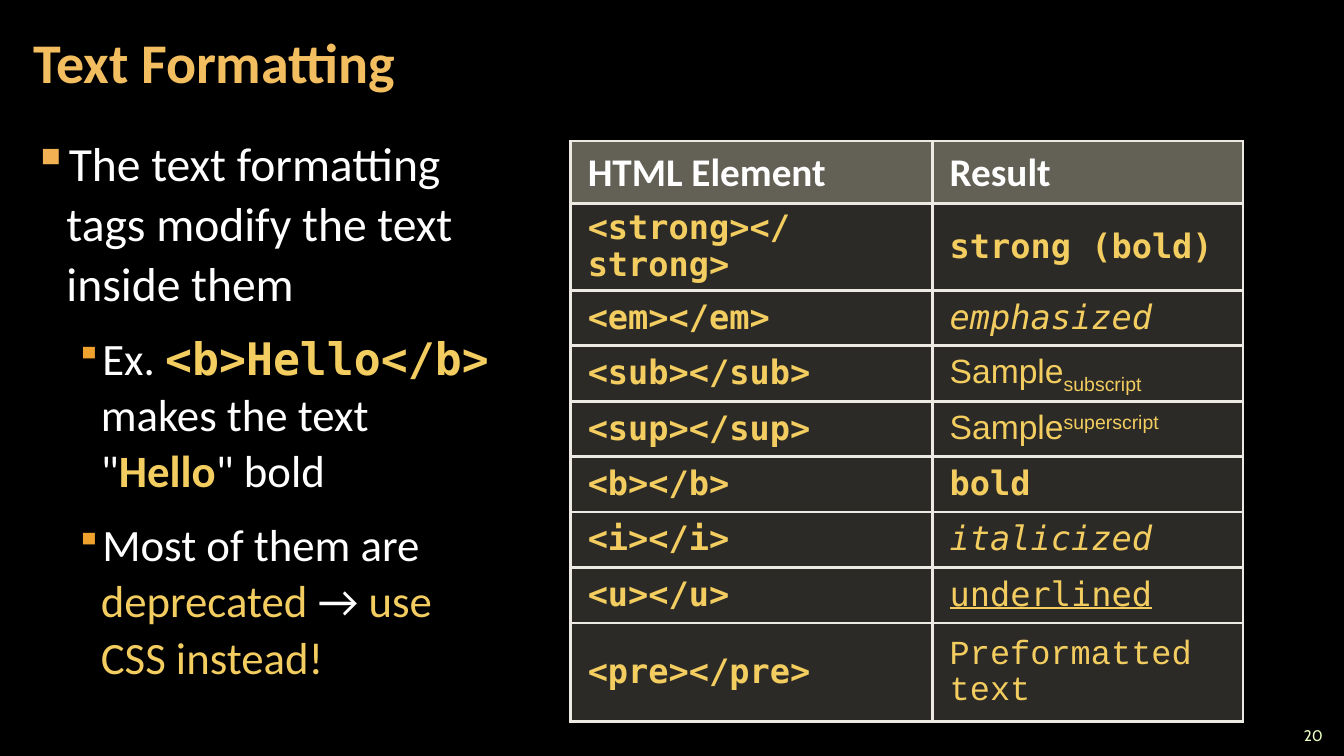
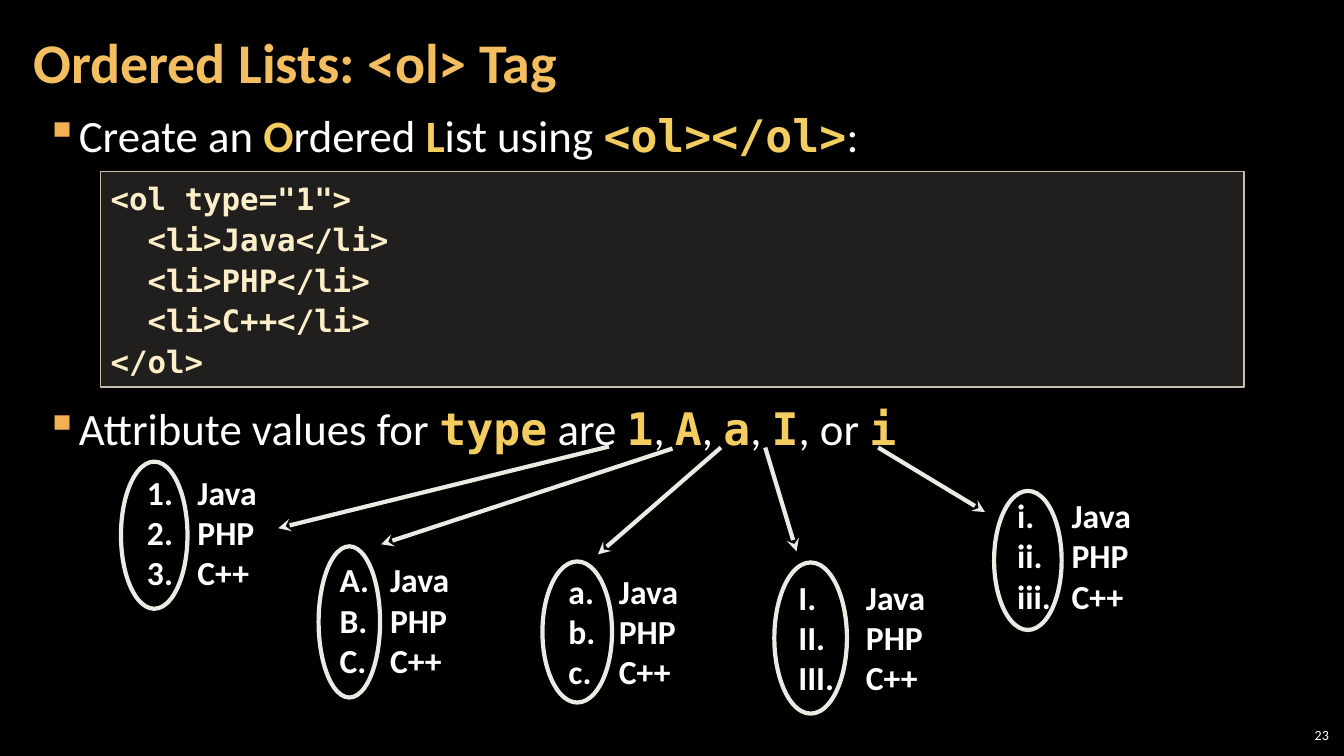
from dataclasses import dataclass
from typing import Any, NamedTuple

from lxml.etree import SubElement as Sub
from pptx import Presentation
from pptx.dml.color import RGBColor as RGB
from pptx.enum.shapes import MSO_CONNECTOR as Conn, MSO_SHAPE as Shape
from pptx.enum.text import MSO_ANCHOR as Anchor, PP_ALIGN as Align
from pptx.oxml.ns import qn
from pptx.util import Emu, Pt

EMU_PER_PX = 9144


@dataclass(frozen=True)
class Theme:
    back: str = "000000"
    white: str = "FFFFFF"
    title: str = "F3BE60"
    accent: str = "F3CD60"
    bullets: tuple = ("F2B254", "F0A22E")
    header_fill: str = "C6C0AA"
    fill: str = "D9D5C7"
    code_line: str = "C7BFAC"
    code_text: str = "FBEEC9"
    line: str = "ECEAE3"
    number: str = "EBFFC2"
    sans: str = "Calibri"
    mono: str = "DejaVu Sans Mono"
    title_size: int = 40
    lead_size: int = 34
    body_size: int = 32
    header_size: int = 28
    cell_size: int = 24
    code_size: int = 22


T = Theme()


class Span(NamedTuple):
    text: str
    fmt: dict[str, Any]


class Box(NamedTuple):
    x: int
    y: int
    w: int
    h: int


@dataclass(frozen=True)
class Bullet:
    spans: list[Span]
    level: int = 0
    size: int = T.body_size


@dataclass(frozen=True)
class ListSample:
    numbering: str
    x: int
    y: int
    indent: int
    oval: Box
    arrow: tuple[int, int, int, int]


def px(n: int) -> Emu:
    return Emu(n * EMU_PER_PX)


def plain(text: str) -> Span:
    return Span(text, {})


def hot(text: str, **fmt: Any) -> Span:
    return Span(text, {"color": T.accent, **fmt})


def code(text: str, **fmt: Any) -> Span:
    return hot(text, **{"font": T.mono, "bold": True, **fmt})


def add_run(p, text: str, *, size: int, font: str = T.sans, color: str = T.white, bold: bool = False,
            italic: bool = False, underline: bool = False, baseline: int = 0) -> None:
    r = p.add_run()
    r.text = text
    f = r.font
    f.name, f.size, f.bold, f.italic, f.underline = font, Pt(size), bold, italic, underline
    f.color.rgb = RGB.from_string(color)
    if baseline:
        r._r.get_or_add_rPr().set("baseline", str(baseline * 1000))


def next_paragraph(tf, first: bool):
    return tf.paragraphs[0] if first else tf.add_paragraph()


def set_insets(tf, x: int, y: int) -> None:
    tf.margin_left = tf.margin_right = px(x)
    tf.margin_top = tf.margin_bottom = px(y)


def add_box(s, box: Box, inset: tuple[int, int] = (12, 4), anchor=Anchor.TOP):
    tf = s.shapes.add_textbox(*map(px, box)).text_frame
    tf.word_wrap = True
    tf.vertical_anchor = anchor
    set_insets(tf, *inset)
    return tf


def set_indent(p, left: int, hang: int):
    pPr = p._p.get_or_add_pPr()
    pPr.set("marL", str(px(left)))
    pPr.set("indent", str(-px(hang)))
    return pPr


def set_alpha(fill, color: str, percent: int) -> None:
    fill.solid()
    fill.fore_color.rgb = RGB.from_string(color)
    clr = fill._xPr.find(qn("a:solidFill")).find(qn("a:srgbClr"))
    Sub(clr, qn("a:alpha"), val=str(percent * 1000))


def set_line(line, color: str, width: float) -> None:
    line.color.rgb = RGB.from_string(color)
    line.width = Pt(width)


def add_bullets(s, box: Box, bullets: list[Bullet]) -> None:
    tf = add_box(s, box)
    for i, b in enumerate(bullets):
        p = next_paragraph(tf, i == 0)
        p.level = b.level
        p.line_spacing = 1.05
        p.space_before = p.space_after = Pt(6)
        pPr = set_indent(p, *((33, 33), (67, 25))[b.level])
        Sub(Sub(pPr, qn("a:buClr")), qn("a:srgbClr"), val=T.bullets[b.level])
        Sub(pPr, qn("a:buSzPct"), val=("100000", "80000")[b.level])
        Sub(pPr, qn("a:buChar"), char="▪")
        for span in b.spans:
            add_run(p, span.text, size=b.size, **span.fmt)


def add_slide(prs, title: str):
    s = prs.slides.add_slide(prs.slide_layouts[6])
    p = add_box(s, Box(21, 4, 1047, 121), anchor=Anchor.MIDDLE).paragraphs[0]
    p.line_spacing = 0.9
    add_run(p, title, size=T.title_size, color=T.title, bold=True)
    return s


def add_number(s, text: str, inset: tuple[int, int], **fmt: Any) -> None:
    p = add_box(s, Box(1255, 717, 67, 25), inset, Anchor.MIDDLE).paragraphs[0]
    p.alignment = Align.RIGHT
    add_run(p, text, **fmt)


def style_cell(cell, spans: list[Span], size: int, color: str, alpha: int) -> None:
    cell.vertical_anchor = Anchor.MIDDLE
    set_insets(cell, 17, 5)
    tcPr = cell._tc.get_or_add_tcPr()
    for side in "LRTB":
        ln = Sub(tcPr, qn(f"a:ln{side}"), w=str(Pt(2.25)))
        Sub(Sub(ln, qn("a:solidFill")), qn("a:srgbClr"), val=T.line)
    set_alpha(cell.fill, color, alpha)
    p = cell.text_frame.paragraphs[0]
    p.line_spacing = 0.95
    for span in spans:
        add_run(p, span.text, size=size, **span.fmt)


def add_tag_table(s, rows: list[tuple[str, list[Span]]]) -> None:
    heights = [62] + [55] * (len(rows) - 1) + [98]
    frame = s.shapes.add_table(len(heights), 2, px(566), px(140), px(667), px(sum(heights)))
    table = frame.table
    table.horz_banding = False
    for col, width in zip(table.columns, (359, 308)):
        col.width = px(width)
    for row, height in zip(table.rows, heights):
        row.height = px(height)
    for j, text in enumerate(("HTML Element", "Result")):
        style_cell(table.cell(0, j), [Span(text, {"bold": True})], T.header_size, T.header_fill, 50)
    for i, (tag, result) in enumerate(rows, 1):
        for j, spans in enumerate(([code(f"<{tag}></{tag}>")], result)):
            style_cell(table.cell(i, j), spans, T.cell_size, T.fill, 20)


def add_code(s, box: Box, lines: list[str]) -> None:
    shape = s.shapes.add_shape(Shape.RECTANGLE, *map(px, box))
    shape.shadow.inherit = False
    set_alpha(shape.fill, T.fill, 15)
    set_line(shape.line, T.code_line, 1)
    tf = shape.text_frame
    tf.vertical_anchor = Anchor.TOP
    set_insets(tf, 10, 5)
    for i, line in enumerate(lines):
        p = next_paragraph(tf, i == 0)
        p.alignment = Align.LEFT
        p.line_spacing = 1.1
        add_run(p, line, size=T.code_size, font=T.mono, color=T.code_text, bold=True)


def add_list_sample(s, sample: ListSample, items: list[str]) -> None:
    tf = add_box(s, Box(sample.x, sample.y, 160, 131), (10, 5))
    for i, item in enumerate(items):
        p = next_paragraph(tf, i == 0)
        pPr = set_indent(p, sample.indent, sample.indent)
        Sub(pPr, qn("a:buFont"), typeface="+mj-lt")
        Sub(pPr, qn("a:buAutoNum"), type=sample.numbering)
        add_run(p, item, size=T.cell_size, bold=True)
    arrow = s.shapes.add_connector(Conn.STRAIGHT, *map(px, sample.arrow))
    set_line(arrow.line, T.line, 3)
    Sub(arrow.line._get_or_add_ln(), qn("a:tailEnd"), type="stealth")
    Sub(arrow._element.spPr, qn("a:effectLst"))
    oval = s.shapes.add_shape(Shape.OVAL, *map(px, sample.oval))
    oval.shadow.inherit = False
    oval.fill.background()
    set_line(oval.line, T.line, 3)


def build_formatting(prs) -> None:
    s = add_slide(prs, "Text Formatting")
    add_bullets(s, Box(21, 126, 487, 609), [
        Bullet([plain("The text formatting tags modify the text inside them")], size=T.lead_size),
        Bullet([plain("Ex. "), code("<b>Hello</b>"), plain(' makes the text "'),
                hot("Hello", bold=True), plain('" bold')], 1),
        Bullet([plain("Most of them are "), hot("deprecated "), plain("→ "), hot("use CSS instead!")], 1),
    ])
    add_tag_table(s, [
        ("strong", [code("strong (bold)")]),
        ("em", [code("emphasized", bold=False, italic=True)]),
        ("sub", [hot("Sample", font="Arial"), hot("subscript", font="Arial", baseline=-25)]),
        ("sup", [hot("Sample", font="Arial"), hot("superscript", font="Arial", baseline=30)]),
        ("b", [code("bold")]),
        ("i", [code("italicized", bold=False, italic=True)]),
        ("u", [code("underlined", bold=False, underline=True)]),
        ("pre", [hot("Preformatted text", font="Courier New")]),
    ])
    add_number(s, "20", (10, 5), size=11, font="Cabin", color=T.number)


def build_ordered_lists(prs) -> None:
    s = add_slide(prs, "Ordered Lists: <ol> Tag")
    items = ["Java", "PHP", "C++"]
    add_bullets(s, Box(33, 100, 1266, 68), [Bullet([
        plain("Create an "), hot("O", bold=True), plain("rdered "), hot("L", bold=True),
        plain("ist using "), code("<ol></ol>"), plain(":")])])
    add_code(s, Box(100, 170, 1134, 214),
             ['<ol type="1">', *(f"  <li>{item}</li>" for item in items), "</ol>"])
    add_bullets(s, Box(33, 391, 1266, 68), [Bullet([
        plain("Attribute values for "), code("type"), plain(" are "), code("1"), plain(", "),
        code("A"), plain(", "), code("a"), plain(", "), code("I"), plain(", or "), code("i")])])
    for sample in (
        ListSample("arabicPeriod", 136, 463, 50, Box(120, 458, 66, 146), (604, 443, 276, 524)),
        ListSample("alphaUcPeriod", 327, 550, 50, Box(316, 542, 61, 150), (667, 445, 378, 540)),
        ListSample("alphaLcPeriod", 554, 561, 50, Box(538, 557, 69, 140), (715, 444, 593, 550)),
        ListSample("romanUcPeriod", 782, 567, 67, Box(768, 558, 72, 150), (759, 444, 790, 547)),
        ListSample("romanLcPeriod", 999, 486, 54, Box(986, 487, 67, 138), (871, 444, 977, 508)),
    ):
        add_list_sample(s, sample, items)
    add_number(s, "23", (4, 4), size=10)


def main() -> None:
    prs = Presentation()
    prs.slide_width, prs.slide_height = px(1333), px(750)
    fill = prs.slide_master.background.fill
    fill.solid()
    fill.fore_color.rgb = RGB.from_string(T.back)
    build_formatting(prs)
    build_ordered_lists(prs)
    prs.save("out.pptx")


if __name__ == "__main__":
    main()
